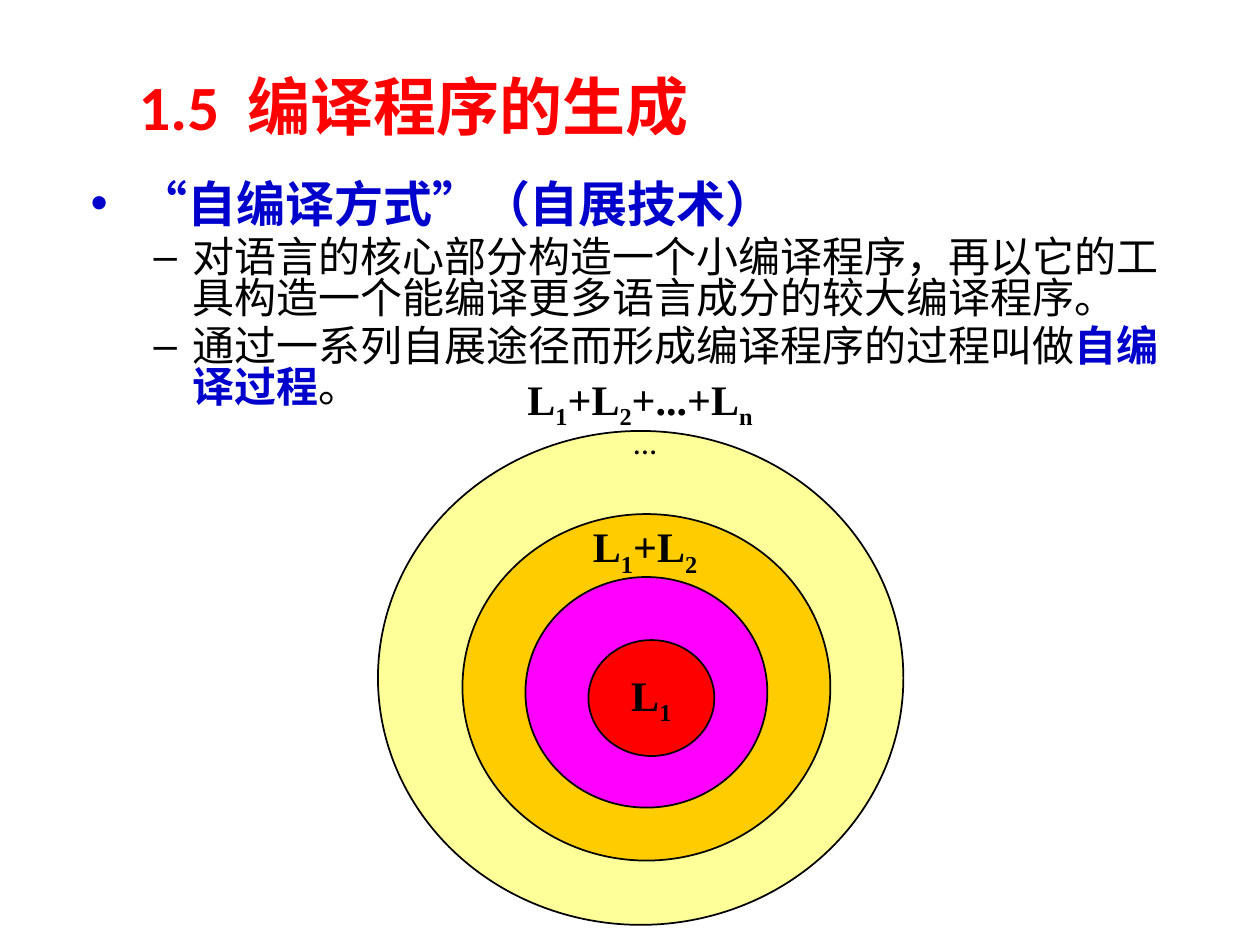
from lxml import etree
from pptx import Presentation
from pptx.dml.color import RGBColor
from pptx.enum import shapes, text
from pptx.oxml import ns
from pptx.util import Inches, Pt

BLACK = RGBColor(0x00, 0x00, 0x00)
RED = RGBColor(0xFF, 0x00, 0x00)
BLUE = RGBColor(0x00, 0x00, 0xCC)
YELLOW = RGBColor(0xFF, 0xFF, 0x99)
ORANGE = RGBColor(0xFF, 0xCC, 0x00)
MAGENTA = RGBColor(0xFF, 0x00, 0xFF)
CJK = "Noto Sans CJK SC"
SERIF = "Times New Roman"

# left, top, width, height, fill; from the outermost ring inwards
RINGS = [
    (3, 3.42, 4.17, 3.92, YELLOW),
    (3.67, 4.08, 2.92, 2.75, ORANGE),
    (4.17, 4.58, 1.92, 1.83, MAGENTA),
    (4.67, 5.08, 1, 0.92, RED),
]
# centre x, centre y, (words, is subscript) runs
RING_LABELS = [
    (5.08, 3.19, [("L", False), ("1", True), ("+L", False), ("2", True),
                  ("+...+L", False), ("n", True)]),
    (5.12, 3.42, [("…", True)]),
    (5.12, 4.36, [("L", False), ("1", True), ("+L", False), ("2", True)]),
]
CORE_LABEL = [("L", False), ("1", True)]
# level, size, left margin, hanging indent, (words, font, colour, bold) runs
POINTS = [
    (0, 28, 0.38, 0.38, [("“", "Arial", BLUE, True),
                         ("自编译方式", CJK, BLUE, True),
                         ("”", "Arial", BLUE, True),
                         ("（自展技术）", CJK, BLUE, True)]),
    (1, 24, 0.81, 0.31, [
        ("对语言的核心部分构造一个小编译程序，再以它的工具构造一个能编译更多语言成分的较大编译程序。",
         CJK, BLACK, False)]),
    (1, 24, 0.81, 0.31, [
        ("通过一系列自展途径而形成编译程序的过程叫做", CJK, BLACK, False),
        ("自编译过程", CJK, BLUE, True),
        ("。", CJK, BLACK, False)]),
]


def add_run(paragraph, words, size, font, color, bold):
    run = paragraph.add_run()
    run.text = words
    run.font.size = Pt(size)
    run.font.bold = bold
    run.font.color.rgb = color
    run.font.name = font
    east_asian = etree.SubElement(run._r.get_or_add_rPr(), ns.qn("a:ea"))
    east_asian.set("typeface", CJK)
    return run


def place(part, left, top, width, height):
    part.left, part.top = Inches(left), Inches(top)
    part.width, part.height = Inches(width), Inches(height)


def fill_title(title):
    place(title, 1, 0.5, 6.75, 0.67)
    title.text_frame.auto_size = text.MSO_AUTO_SIZE.NONE
    title.text_frame.vertical_anchor = text.MSO_ANCHOR.MIDDLE
    heading = title.text_frame.paragraphs[0]
    heading.alignment = text.PP_ALIGN.LEFT
    add_run(heading, "1.5", 36, "Calibri", RED, True)
    gap = add_run(heading, " ", 36, "Calibri", RED, True)
    gap._r.get_or_add_rPr().set("spc", "800")  # widen the gap after the number
    add_run(heading, "编译程序的生成", 36, "Calibri", RED, True)


def fill_body(body):
    place(body, 0.62, 1.42, 8.92, 2)
    frame = body.text_frame
    frame.auto_size = text.MSO_AUTO_SIZE.NONE
    for index, (level, size, margin, hanging, runs) in enumerate(POINTS):
        point = frame.add_paragraph() if index else frame.paragraphs[0]
        point.level = level
        point.line_spacing = 0.8
        if index == 0:
            point.space_before = Pt(0)
        properties = point._p.get_or_add_pPr()
        properties.set("marL", str(Inches(margin)))
        properties.set("indent", str(-Inches(hanging)))
        for words, font, color, bold in runs:
            add_run(point, words, size, font, color, bold)


def write_label(part, runs):
    frame = part.text_frame
    frame.word_wrap = False
    frame.vertical_anchor = text.MSO_ANCHOR.MIDDLE
    label = frame.paragraphs[0]
    label.alignment = text.PP_ALIGN.CENTER
    for words, subscript in runs:
        run = add_run(label, words, 24, SERIF, BLACK, True)
        if subscript:
            run._r.get_or_add_rPr().set("baseline", "-25000")


def add_ring(slide, left, top, width, height, fill):
    ring = slide.shapes.add_shape(shapes.MSO_SHAPE.OVAL, Inches(left), Inches(top),
                                  Inches(width), Inches(height))
    ring.shadow.inherit = False
    ring.fill.solid()
    ring.fill.fore_color.rgb = fill
    ring.line.color.rgb = BLACK
    ring.line.width = Pt(1)
    return ring


def add_ring_label(slide, center_x, center_y, runs):
    width, height = 2, 0.5
    label = slide.shapes.add_textbox(Inches(center_x - width / 2),
                                     Inches(center_y - height / 2),
                                     Inches(width), Inches(height))
    write_label(label, runs)


def main():
    deck = Presentation()
    deck.slide_width, deck.slide_height = Inches(10), Inches(7.5)
    slide = deck.slides.add_slide(deck.slide_layouts[1])

    # Heading and points
    fill_title(slide.shapes.title)
    fill_body(slide.placeholders[1])

    # Nested language rings, the core labelled inside
    rings = [add_ring(slide, *ring) for ring in RINGS]
    write_label(rings[-1], CORE_LABEL)
    for ring_label in RING_LABELS:
        add_ring_label(slide, *ring_label)

    deck.save("out.pptx")


if __name__ == "__main__":
    main()
